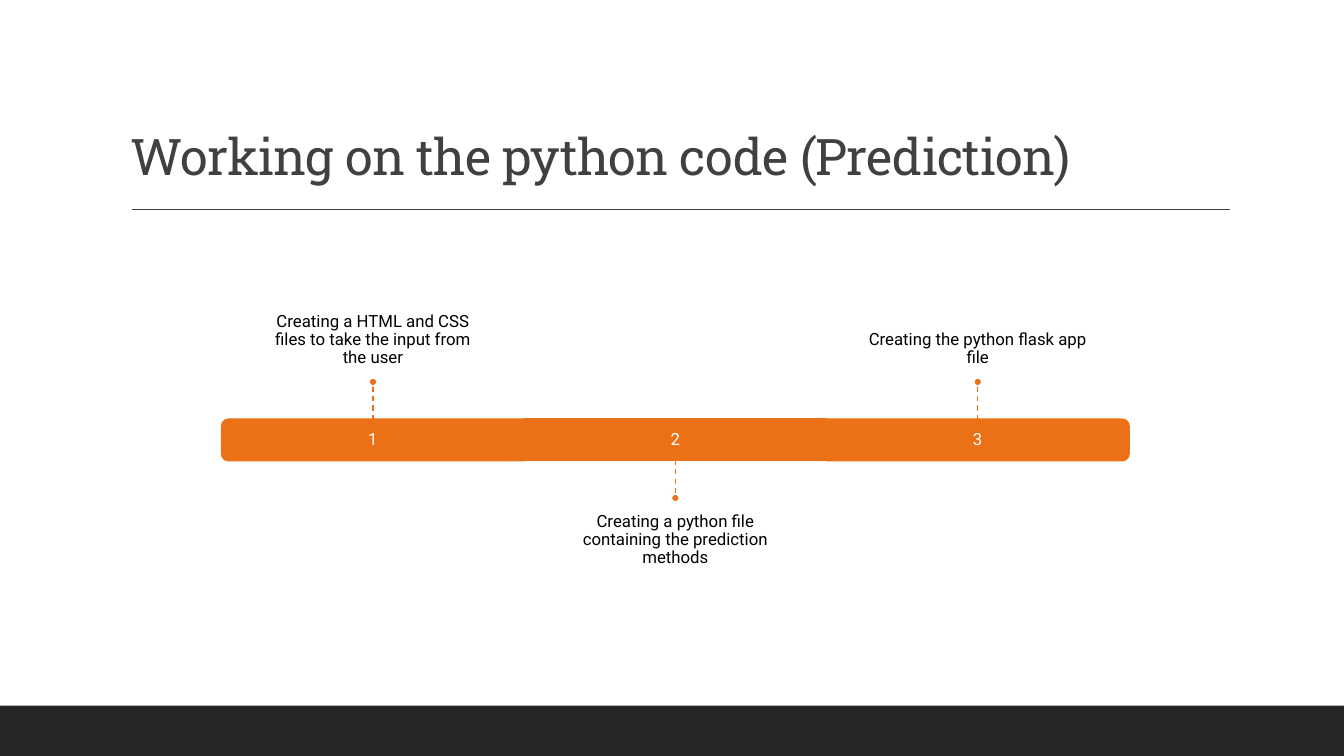
from dataclasses import dataclass

from lxml import etree
from pptx import Presentation
from pptx.dml.color import RGBColor
from pptx.enum import dml, shapes, text
from pptx.oxml import ns
from pptx.shapes.autoshape import Shape
from pptx.slide import Slide
from pptx.util import Pt


@dataclass(frozen=True)
class Theme:
    accent: str = "EC7016"
    heading: str = "404040"
    footer: str = "262626"
    body: str = "000000"
    light: str = "FFFFFF"
    heading_font: str = "Roboto Slab"
    body_font: str = "Roboto"
    heading_size: float = 36
    body_size: float = 12


@dataclass(frozen=True)
class Box:
    left: float
    top: float
    width: float
    height: float

    def lengths(self) -> tuple[Pt, Pt, Pt, Pt]:
        return Pt(self.left), Pt(self.top), Pt(self.width), Pt(self.height)


@dataclass(frozen=True)
class Step:
    number: str
    caption: str
    caption_width: float
    above: bool
    rotation: int = 0


THEME = Theme()
STEPS = (
    Step("1", "Creating a HTML and CSS files to take the input from the user", 156.2, True, 270),
    Step("2", "Creating a python file containing the prediction methods", 151.9, False),
    Step("3", "Creating the python flask app file", 167.8, True, 90),
)
BAR = Box(158.4, 299.5, 648, 29.5)
STEP_WIDTH = BAR.width / len(STEPS)
STEM_LENGTH = 23.8
DOT_SIZE = 5.8
CAPTION_HEIGHT = 104.4
CAPTION_GAP = 30.2


def add_filled(slide: Slide, kind: shapes.MSO_SHAPE, box: Box, fill: str,
               line: str | None = None, rotation: int = 0) -> Shape:
    filled = slide.shapes.add_shape(kind, *box.lengths())
    filled.shadow.inherit = False
    filled.rotation = rotation
    filled.fill.solid()
    filled.fill.fore_color.rgb = RGBColor.from_string(fill)
    if line:
        filled.line.color.rgb = RGBColor.from_string(line)
        filled.line.width = Pt(1.25)
    else:
        filled.line.fill.background()
    return filled


def add_rule(slide: Slide, start: tuple[float, float], end: tuple[float, float],
             color: str, dashed: bool = False) -> None:
    rule = slide.shapes.add_connector(
        shapes.MSO_CONNECTOR.STRAIGHT, *map(Pt, start), *map(Pt, end))
    rule.line.color.rgb = RGBColor.from_string(color)
    rule.line.width = Pt(1)
    if dashed:
        rule.line.dash_style = dml.MSO_LINE.DASH
    etree.SubElement(rule._element.spPr, ns.qn("a:effectLst"))


def add_text(slide: Slide, words: str, box: Box, *, color: str,
             font: str = THEME.body_font, size: float = THEME.body_size,
             align: text.PP_ALIGN = text.PP_ALIGN.CENTER,
             anchor: text.MSO_ANCHOR = text.MSO_ANCHOR.MIDDLE,
             insets: tuple[float, float, float, float] = (7.2, 7.2, 7.2, 7.2),
             tracking: float = 0) -> None:
    """Insets run left, top, right, bottom; tracking is extra letter space in points."""
    frame = slide.shapes.add_textbox(*box.lengths()).text_frame
    frame.word_wrap = True
    frame.vertical_anchor = anchor
    frame.margin_left, frame.margin_top, frame.margin_right, frame.margin_bottom = map(Pt, insets)
    paragraph = frame.paragraphs[0]
    paragraph.alignment = align
    paragraph.line_spacing = 0.9
    run = paragraph.add_run()
    run.text = words
    run.font.name = font
    run.font.size = Pt(size)
    run.font.color.rgb = RGBColor.from_string(color)
    if tracking:
        run.font._element.set("spc", str(round(tracking * 100)))


def add_step(slide: Slide, step: Step, index: int) -> None:
    left = BAR.left + index * STEP_WIDTH
    center = left + STEP_WIDTH / 2
    segment = Box(left, BAR.top, STEP_WIDTH, BAR.height)
    if step.rotation:
        upright = Box(center - BAR.height / 2, BAR.top + (BAR.height - STEP_WIDTH) / 2,
                      BAR.height, STEP_WIDTH)
        add_filled(slide, shapes.MSO_SHAPE.ROUND_2_SAME_RECTANGLE, upright,
                   THEME.accent, THEME.accent, step.rotation)
    else:
        add_filled(slide, shapes.MSO_SHAPE.RECTANGLE, segment, THEME.accent, THEME.accent)
    add_text(slide, step.number, segment, color=THEME.light)

    if step.above:
        edge = BAR.top
        tip = edge - STEM_LENGTH
        dot_top = tip - DOT_SIZE
        caption_top = edge - CAPTION_GAP - CAPTION_HEIGHT
        anchor, insets = text.MSO_ANCHOR.BOTTOM, (0, 0, 0, 7.2)
    else:
        edge = BAR.top + BAR.height
        tip = edge + STEM_LENGTH
        dot_top = tip
        caption_top = edge + CAPTION_GAP
        anchor, insets = text.MSO_ANCHOR.TOP, (0, 7.2, 0, 0)
    caption_box = Box(center - step.caption_width / 2, caption_top,
                      step.caption_width, CAPTION_HEIGHT)
    add_text(slide, step.caption, caption_box, color=THEME.body, anchor=anchor, insets=insets)
    add_rule(slide, (center, tip), (center, edge), THEME.accent, dashed=True)
    add_filled(slide, shapes.MSO_SHAPE.OVAL,
               Box(center - DOT_SIZE / 2, dot_top, DOT_SIZE, DOT_SIZE),
               THEME.accent, THEME.light)


def main() -> None:
    deck = Presentation()
    deck.slide_width, deck.slide_height = Pt(960), Pt(540)
    slide = deck.slides.add_slide(deck.slide_layouts[6])

    add_filled(slide, shapes.MSO_SHAPE.RECTANGLE, Box(0, 504, 960, 36), THEME.footer)
    add_rule(slide, (94.3, 149.6), (878.4, 149.6), THEME.heading)
    add_text(slide, "Working on the python code (Prediction)", Box(86.4, 22.3, 792, 114.5),
             color=THEME.heading, font=THEME.heading_font, size=THEME.heading_size,
             align=text.PP_ALIGN.LEFT, anchor=text.MSO_ANCHOR.BOTTOM,
             insets=(7.2, 3.6, 7.2, 3.6), tracking=-0.5)
    for index, step in enumerate(STEPS):
        add_step(slide, step, index)

    deck.save("out.pptx")


if __name__ == "__main__":
    main()
